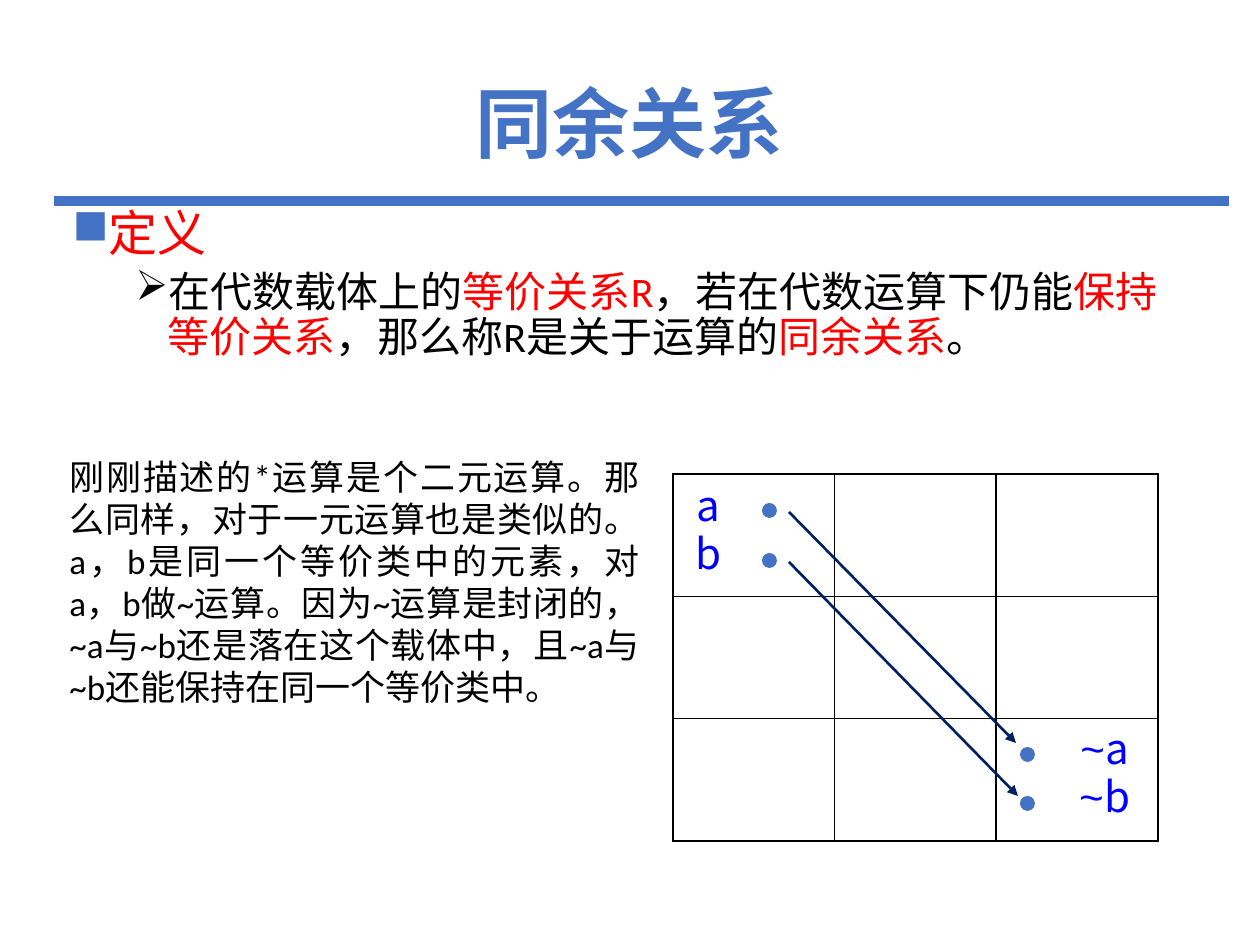
import pptx
import pptx.dml.color
import pptx.enum.shapes
import pptx.enum.text
import pptx.oxml
import pptx.oxml.ns
import pptx.util
import lxml.etree
from dataclasses import dataclass

PX = 914400 / 126
RGB = pptx.dml.color.RGBColor.from_string
ALIGN = pptx.enum.text.PP_ALIGN
MIDDLE = pptx.enum.text.MSO_ANCHOR.MIDDLE
qn = pptx.oxml.ns.qn


@dataclass(frozen=True)
class Theme:
    accent: str = "4472C4"
    key: str = "FF0000"
    ink: str = "000000"
    label: str = "0000FF"
    arrow: str = "002060"
    latin: str = "Calibri"
    cjk: str = "Noto Sans CJK SC"
    mono: str = "Courier New"
    title: int = 44
    heading: int = 28
    body: int = 24
    note: int = 20


theme = Theme()


def emu(*lengths):
    return [pptx.util.Emu(round(n * PX)) for n in lengths]


def write(paragraph, runs, size, **formats):
    """Fill a paragraph with (text, colour, font) runs and set its formats."""
    for name, value in formats.items():
        setattr(paragraph, name, value)
    for text, colour, font in runs:
        run = paragraph.add_run()
        run.text = text
        run.font.size = pptx.util.Pt(size)
        run.font.name = font
        run.font.color.rgb = RGB(colour)
        ea = lxml.etree.SubElement(run.font._element, qn("a:ea"))
        ea.set("typeface", theme.cjk)


prs = pptx.Presentation()
prs.slide_width, prs.slide_height = emu(1260, 945)
slide = prs.slides.add_slide(prs.slide_layouts[5])
shapes = slide.shapes

# Title and rule
title = shapes.title
title.left, title.top, title.width, title.height = emu(87, 50, 1086, 156)
title.text_frame.vertical_anchor = MIDDLE
title_line = title.text_frame.paragraphs[0]
write(title_line, [("同余关系", theme.accent, theme.cjk)], theme.title,
      alignment=ALIGN.CENTER, line_spacing=0.9)
title_line.runs[0].font.bold = True

# Definition
definition = shapes.add_textbox(*emu(60, 203, 1134, 208)).text_frame
definition.word_wrap = True
outline = [
    ("■", 32, 0, theme.heading, [("定义", theme.key)]),
    ("➢", 95, 5, theme.body, [
        ("在代数载体上的", theme.ink), ("等价关系R", theme.key),
        ("，若在代数运算下仍能", theme.ink), ("保持等价关系", theme.key),
        ("，那么称R是关于运算的", theme.ink), ("同余关系", theme.key),
        ("。", theme.ink)]),
]
for level, (bullet, margin, before, size, parts) in enumerate(outline):
    paragraph = definition.add_paragraph() if level else definition.paragraphs[0]
    props = paragraph._p.get_or_add_pPr()
    margin, hang = emu(margin, 32)
    props.set("marL", str(margin))
    props.set("indent", str(-hang))
    bullet_colour = lxml.etree.SubElement(props, qn("a:buClr"))
    lxml.etree.SubElement(bullet_colour, qn("a:srgbClr")).set("val", theme.accent if level == 0 else theme.ink)
    lxml.etree.SubElement(props, qn("a:buChar")).set("char", bullet)
    write(paragraph, [(text, colour, theme.latin) for text, colour in parts], size,
          level=level, line_spacing=0.9, space_before=pptx.util.Pt(before))

# Equivalence classes
classes = shapes.add_table(3, 3, *emu(673, 474, 485, 367)).table
classes.first_row = classes.horz_banding = False
for cell in classes.iter_cells():
    cell.fill.background()
    props = cell._tc.get_or_add_tcPr()
    for index, side in enumerate(("a:lnL", "a:lnR", "a:lnT", "a:lnB")):
        border = pptx.oxml.parse_xml(
            f'<{side} xmlns:a="http://schemas.openxmlformats.org/drawingml/2006/main" w="12700">'
            f'<a:solidFill><a:srgbClr val="{theme.ink}"/></a:solidFill></{side}>')
        props.insert(index, border)

# Elements and their images
for x, y in [(762, 503), (762, 553), (1020, 747), (1020, 796)]:
    dot = shapes.add_shape(pptx.enum.shapes.MSO_SHAPE.OVAL, *emu(x, y, 15, 15))
    dot.shadow.inherit = False
    dot.fill.solid()
    dot.fill.fore_color.rgb = RGB(theme.accent)
    dot.line.fill.background()

for x, y, operator, element in [(664, 475, "", "a"), (664, 523, "", "b"),
                                (1060, 718, "~", "a"), (1060, 766, "~", "b")]:
    label = shapes.add_textbox(*emu(x, y, 89, 59)).text_frame
    label.word_wrap = True
    label.vertical_anchor = MIDDLE
    parts = [(operator, theme.label, theme.mono)] if operator else []
    write(label.paragraphs[0], parts + [(element, theme.label, theme.cjk)],
          theme.body, alignment=ALIGN.CENTER)

# Title rule and mapping arrows
for ends, colour, weight, arrowhead in [
        ((54, 201, 1229, 201), theme.accent, 6, False),
        ((789, 512, 1016, 743), theme.arrow, 1.5, True),
        ((789, 562, 1018, 796), theme.arrow, 1.5, True)]:
    line = shapes.add_connector(pptx.enum.shapes.MSO_CONNECTOR.STRAIGHT, *emu(*ends))
    line.line.color.rgb = RGB(colour)
    line.line.width = pptx.util.Pt(weight)
    if arrowhead:
        lxml.etree.SubElement(line.line._get_or_add_ln(), qn("a:tailEnd")).set("type", "triangle")
    lxml.etree.SubElement(line._element.spPr, qn("a:effectLst"))

# Explanation
note = shapes.add_textbox(*emu(57, 449, 595, 267)).text_frame
note.word_wrap = True
note.auto_size = pptx.enum.text.MSO_AUTO_SIZE.SHAPE_TO_FIT_TEXT
explanation = (
    "刚刚描述的*运算是个二元运算。那么同样，对于一元运算也是类似的。 "
    "a，b是同一个等价类中的元素，对a，b做~运算。因为~运算是封闭的，"
    "~a与~b还是落在这个载体中，且~a与~b还能保持在同一个等价类中。")
write(note.paragraphs[0], [(explanation, theme.ink, theme.latin)], theme.note,
      alignment=ALIGN.JUSTIFY)

prs.save("out.pptx")
